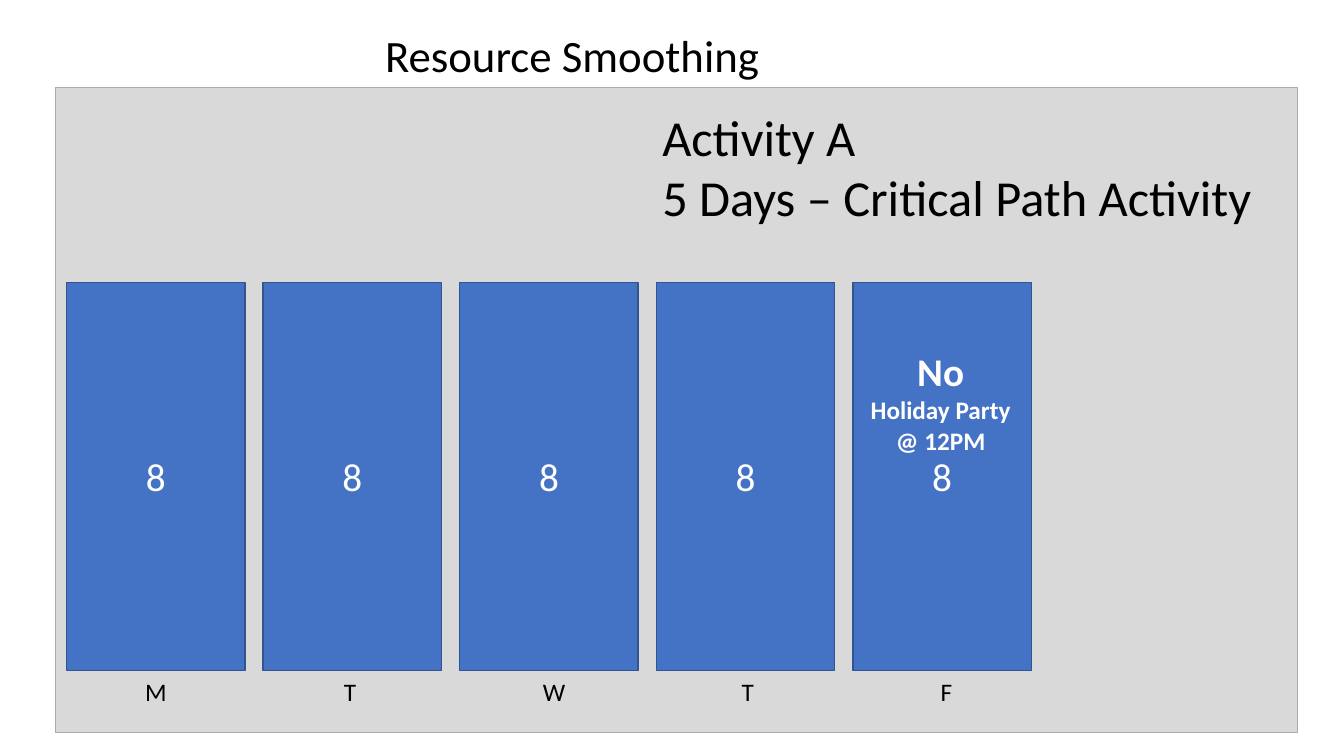
import pptx
import pptx.dml.color
import pptx.enum.shapes
import pptx.enum.text
import pptx.util

SLIDE_WIDTH, SLIDE_HEIGHT = 13.33, 7.5
FONT = "Calibri"
COLORS = {
    "panel": "D9D9D9",
    "panel_line": "AFABAB",
    "bar": "4472C4",
    "bar_line": "325491",
    "light": "FFFFFF",
    "dark": "000000",
}
DAYS = ["M", "T", "W", "T", "F"]
HOURS_PER_DAY = 8
ALIGN = pptx.enum.text.PP_ALIGN


def rgb(name):
    """Return the named colour."""
    return pptx.dml.color.RGBColor.from_string(COLORS[name])


def inches(box):
    """Convert a box of left, top, width and height to lengths."""
    return [pptx.util.Inches(length) for length in box]


def columns(box, count, width):
    """Spread equally wide columns evenly over a box."""
    left, top, total, height = box
    pitch = (total - width) / (count - 1)
    return [(left + index * pitch, top, width, height) for index in range(count)]


def write(shape, lines, color, align=ALIGN.LEFT):
    """Fill a shape with lines of text, size and boldness."""
    frame = shape.text_frame
    frame.text = "\n".join(text for text, size, bold in lines)
    for paragraph, (text, size, bold) in zip(frame.paragraphs, lines):
        paragraph.alignment = align
        for run in paragraph.runs:
            run.font.name = FONT
            run.font.size = pptx.util.Pt(size)
            run.font.bold = bold
            run.font.color.rgb = rgb(color)


def add_block(slide, box, fill, line):
    """Add a flat outlined rectangle."""
    shape = slide.shapes.add_shape(
        pptx.enum.shapes.MSO_SHAPE.RECTANGLE, *inches(box))
    shape.shadow.inherit = False
    shape.fill.solid()
    shape.fill.fore_color.rgb = rgb(fill)
    shape.line.color.rgb = rgb(line)
    shape.line.width = pptx.util.Pt(1)
    return shape


def add_text(slide, box, lines, color="dark", align=ALIGN.LEFT, wrap=True):
    """Add a text box that grows with its text."""
    shape = slide.shapes.add_textbox(*inches(box))
    shape.text_frame.word_wrap = wrap
    shape.text_frame.auto_size = pptx.enum.text.MSO_AUTO_SIZE.SHAPE_TO_FIT_TEXT
    write(shape, lines, color, align)


def add_day_bars(slide, box):
    """Add one bar of working hours for each day."""
    for bar_box in columns(box, len(DAYS), 1.77):
        bar = add_block(slide, bar_box, "bar", "bar_line")
        bar.text_frame.vertical_anchor = pptx.enum.text.MSO_ANCHOR.MIDDLE
        write(bar, [(str(HOURS_PER_DAY), 28, False)], "light", ALIGN.CENTER)


def add_day_labels(slide, box):
    """Add the initial of each day below its bar."""
    for day, label_box in zip(DAYS, columns(box, len(DAYS), 0.42)):
        add_text(slide, label_box, [(day, 18, False)])


def add_smoothing_slide(presentation):
    """Build the resource smoothing slide."""
    slide = presentation.slides.add_slide(presentation.slide_layouts[6])
    add_block(slide, (0.55, 0.87, 12.32, 6.4), "panel", "panel_line")
    add_day_bars(slide, (0.66, 2.8, 9.57, 3.85))
    add_text(slide, (3.72, 0.23, 3.95, 0.64),
             [("Resource Smoothing", 32, False)], wrap=False)
    add_day_labels(slide, (1.34, 6.66, 8.31, 0.42))
    add_text(slide, (8.53, 3.4, 1.6, 1.18),
             [("No", 28, True), ("Holiday Party", 18, True), ("@ 12PM", 18, True)],
             "light", ALIGN.CENTER, wrap=False)
    add_text(slide, (6.47, 1, 6.32, 1.31),
             [("Activity A", 36, False),
              ("5 Days – Critical Path Activity", 36, False)])


def main():
    """Create and save the presentation."""
    presentation = pptx.Presentation()
    presentation.slide_width = pptx.util.Inches(SLIDE_WIDTH)
    presentation.slide_height = pptx.util.Inches(SLIDE_HEIGHT)
    add_smoothing_slide(presentation)
    presentation.save("out.pptx")


if __name__ == "__main__":
    main()
